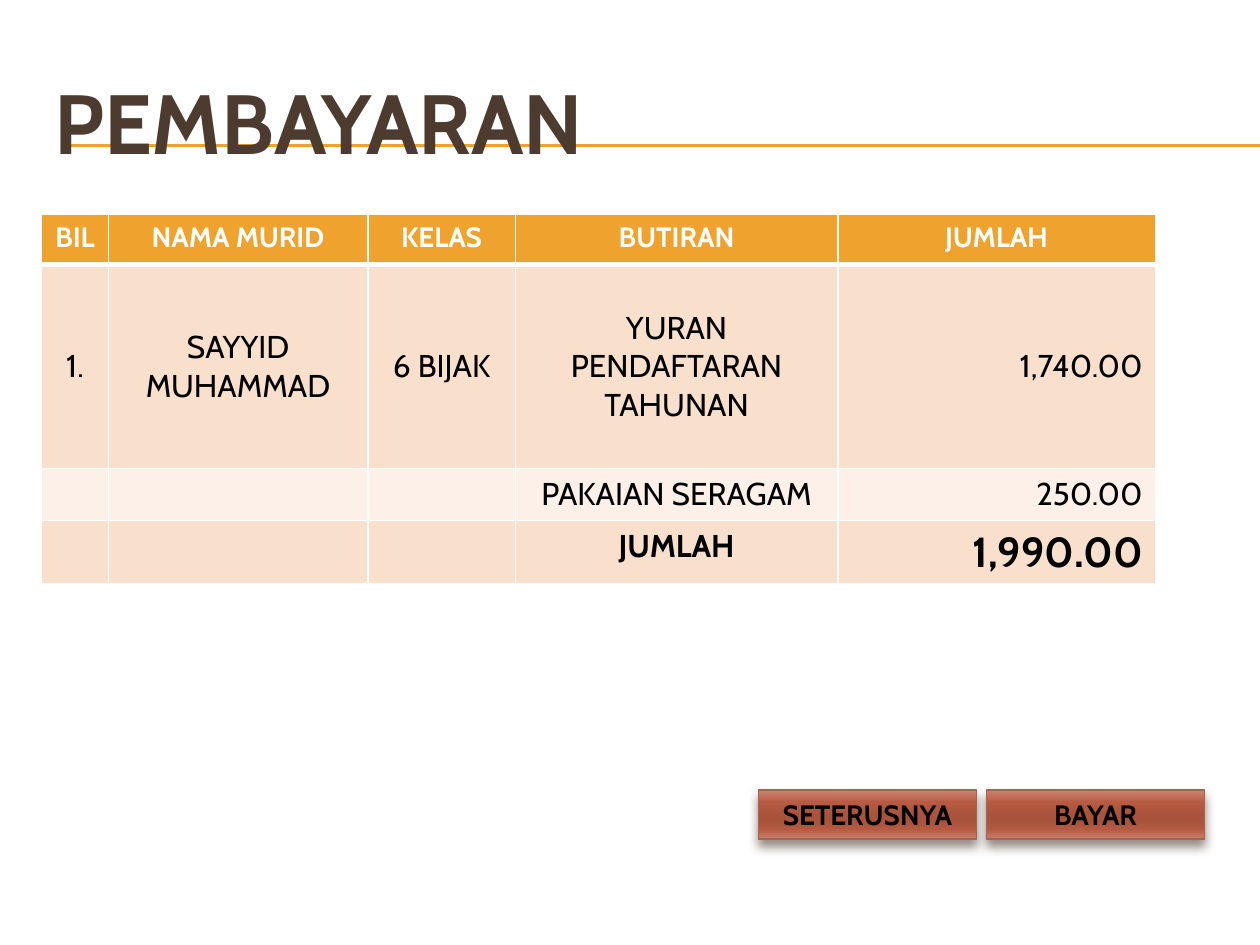
"""Build the school payment slide with its fee table and two buttons."""
from dataclasses import dataclass

from lxml import etree
from pptx import Presentation
from pptx.dml.color import RGBColor
from pptx.enum.shapes import MSO_CONNECTOR, MSO_SHAPE
from pptx.enum.text import MSO_ANCHOR, MSO_AUTO_SIZE, PP_ALIGN
from pptx.oxml import parse_xml
from pptx.oxml.ns import qn
from pptx.util import Inches, Pt

LEFT, MID, RIGHT = PP_ALIGN.LEFT, PP_ALIGN.CENTER, PP_ALIGN.RIGHT
TOP, CENTER = MSO_ANCHOR.TOP, MSO_ANCHOR.MIDDLE
RECT, STRAIGHT = MSO_SHAPE.RECTANGLE, MSO_CONNECTOR.STRAIGHT
NS = 'xmlns:a="http://schemas.openxmlformats.org/drawingml/2006/main"'
FONT, GOLD, WHITE, BLACK, BROWN = "Cabin", "F0A22E", "FFFFFF", "000000", "4E3B30"
STOPS = [(0, "CD8473"), (25, "B75B42"), (50, "AA533C"),
         (65, "AA533C"), (80, "B65B42"), (100, "C77D6B")]
COLS = [0.53, 2.06, 1.17, 2.56, 2.52]


@dataclass
class Row:
    cells: list[str]
    high: float
    fill: str
    size: int = 18
    last: int = 18
    bold: bool = False
    color: str = BLACK
    anchor: MSO_ANCHOR = TOP
    end: PP_ALIGN = RIGHT
    base: int = 1


@dataclass
class Button:
    text: str
    left: float


ROWS = [
    Row(["BIL", "NAMA MURID", "KELAS", "BUTIRAN", "JUMLAH"], 0.4, GOLD,
        size=16, last=16, bold=True, color=WHITE, end=MID, base=3),
    Row(["1.", "SAYYID MUHAMMAD", "6 BIJAK", "YURAN PENDAFTARAN TAHUNAN", "1,740.00"],
        1.62, "F9E0CD", anchor=CENTER),
    Row(["", "", "", "PAKAIAN SERAGAM", "250.00"], 0.41, "FCF0E8"),
    Row(["", "", "", "JUMLAH", "1,990.00"], 0.5, "F9E0CD", last=24, bold=True),
]
BUTTONS = [Button("SETERUSNYA", 6.02), Button("BAYAR", 7.83)]


def rgb(code: str) -> RGBColor:
    """Turn a hex string into a colour."""
    return RGBColor.from_string(code)


def write(frame, text: str, size: int, color: str, bold: bool, align: PP_ALIGN) -> None:
    """Write one formatted run in the first paragraph."""
    para = frame.paragraphs[0]
    para.alignment = align
    run = para.add_run()
    run.text = text
    font = run.font
    font.name, font.size, font.bold = FONT, Pt(size), bold
    font.color.rgb = rgb(color)


def draw_rule(slide, y: float) -> None:
    """Draw one thin line behind the title."""
    line = slide.shapes.add_connector(STRAIGHT, Inches(0.56), Inches(y), Inches(10), Inches(y))
    line.line.color.rgb = rgb(GOLD)
    line.line.width = Pt(0.75)
    etree.SubElement(line._element.spPr, qn("a:effectLst"))


def draw_title(slide, text: str) -> None:
    """Place the title in front of the rules."""
    title = slide.shapes.title
    title.left, title.top = Inches(0.33), Inches(0.5)
    title.width, title.height = Inches(9.5), Inches(0.92)
    title.text_frame.auto_size = MSO_AUTO_SIZE.NONE
    title.text_frame.vertical_anchor = CENTER
    write(title.text_frame, text, 48, BROWN, True, LEFT)
    slide.shapes._spTree.append(title._element)


def edge(cell, top: int, base: int) -> None:
    """Give a cell white borders."""
    props = cell._tc.get_or_add_tcPr()
    for i, (side, wide) in enumerate([("L", 1), ("R", 1), ("T", top), ("B", base)]):
        props.insert(i, parse_xml(
            f'<a:ln{side} {NS} w="{Pt(wide)}"><a:solidFill>'
            f'<a:srgbClr val="{WHITE}"/></a:solidFill></a:ln{side}>'))


def draw_table(slide, rows: list[Row]) -> None:
    """Draw the fee table."""
    high = sum(row.high for row in rows)
    table = slide.shapes.add_table(len(rows), len(COLS), Inches(0.33), Inches(1.7),
                                   Inches(sum(COLS)), Inches(high)).table
    for col, wide in zip(table.columns, COLS):
        col.width = Inches(wide)
    top = 1
    for r, row in enumerate(rows):
        table.rows[r].height = Inches(row.high)
        for c, text in enumerate(row.cells):
            cell = table.cell(r, c)
            cell.fill.solid()
            cell.fill.fore_color.rgb = rgb(row.fill)
            cell.vertical_anchor = row.anchor
            edge(cell, top, row.base)
            if text:
                end = c == len(COLS) - 1
                write(cell.text_frame, text, row.last if end else row.size,
                      row.color, row.bold, row.end if end else MID)
        top = row.base


def draw_button(slide, item: Button) -> None:
    """Draw a glossy button with a soft shadow."""
    box = slide.shapes.add_shape(RECT, Inches(item.left), Inches(6.27),
                                 Inches(1.73), Inches(0.39))
    box.line.color.rgb = rgb("A5644E")
    box.line.width = Pt(0.79)
    stops = "".join(f'<a:gs pos="{pos * 1000}"><a:srgbClr val="{code}"/></a:gs>'
                    for pos, code in STOPS)
    props = box._element.spPr
    props.insert(2, parse_xml(
        f'<a:gradFill {NS} rotWithShape="1"><a:gsLst>{stops}</a:gsLst>'
        '<a:lin ang="5400000" scaled="0"/></a:gradFill>'))
    props.append(parse_xml(
        f'<a:effectLst {NS}><a:outerShdw blurRad="{Pt(6)}" dist="{Pt(4)}" '
        f'dir="5400000" rotWithShape="0"><a:srgbClr val="{BROWN}">'
        '<a:alpha val="60000"/></a:srgbClr></a:outerShdw></a:effectLst>'))
    box.text_frame.word_wrap = True
    box.text_frame.vertical_anchor = CENTER
    write(box.text_frame, item.text, 16, BLACK, True, MID)


def main() -> None:
    """Build and save the slide."""
    deck = Presentation()
    deck.slide_width, deck.slide_height = Inches(10), Inches(7.5)
    slide = deck.slides.add_slide(deck.slide_layouts[5])
    for y in (1.15, 1.16):
        draw_rule(slide, y)
    draw_title(slide, "PEMBAYARAN")
    draw_table(slide, ROWS)
    for item in BUTTONS:
        draw_button(slide, item)
    deck.save("out.pptx")


if __name__ == "__main__":
    main()
